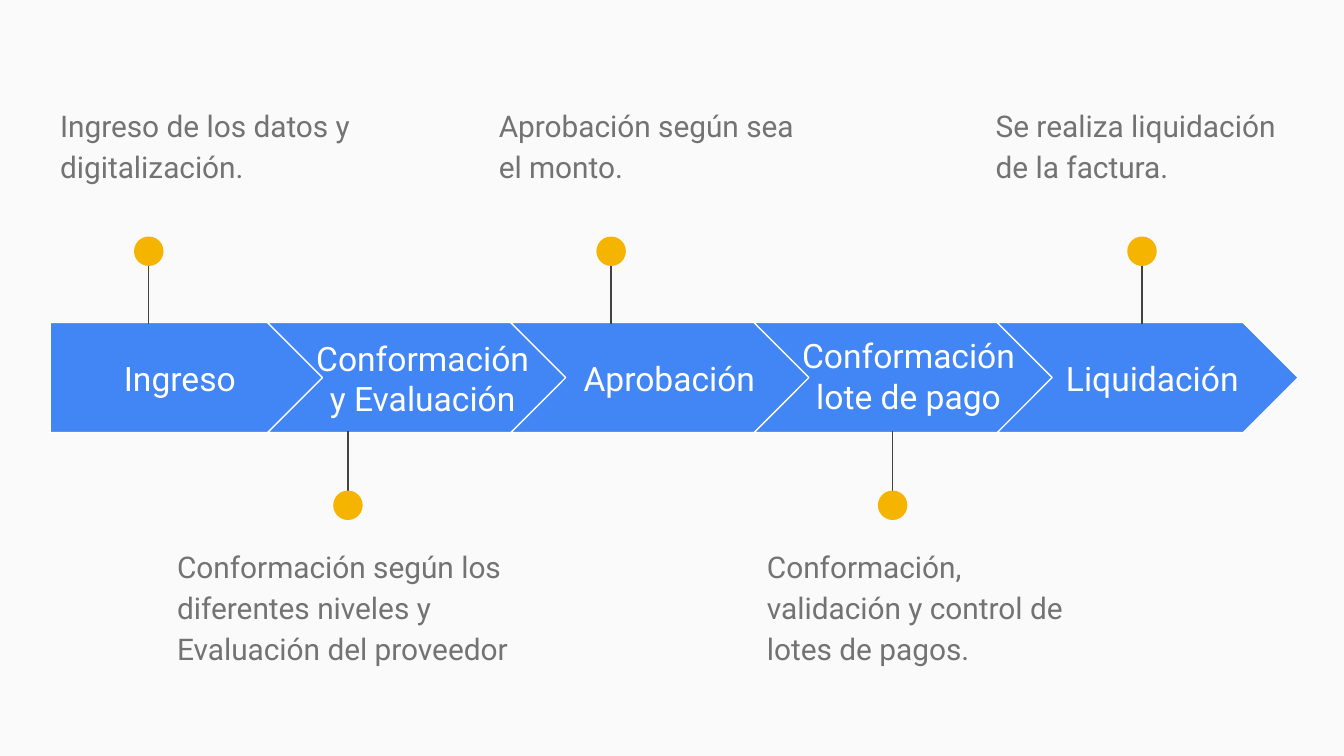
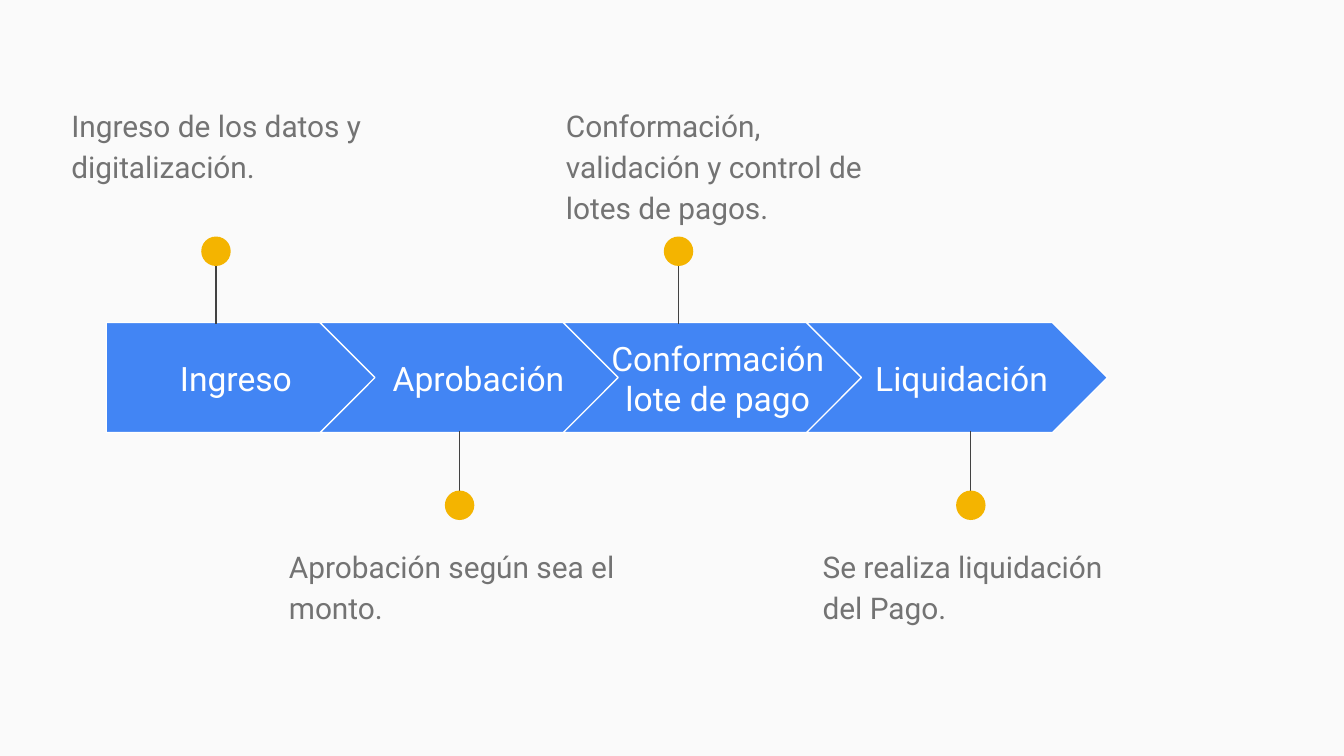
"""Builds two process timelines with arrow steps, pins and notes."""

from dataclasses import dataclass

from lxml.etree import SubElement
from pptx import Presentation
from pptx.dml.color import RGBColor
from pptx.enum.shapes import MSO_CONNECTOR, MSO_SHAPE
from pptx.enum.text import MSO_ANCHOR, PP_ALIGN
from pptx.oxml.ns import qn
from pptx.presentation import Presentation as Deck
from pptx.shapes.autoshape import Shape
from pptx.slide import Slide
from pptx.util import Pt

PAPER = RGBColor(0xFA, 0xFA, 0xFA)
BLUE = RGBColor(0x42, 0x85, 0xF4)
AMBER = RGBColor(0xF4, 0xB4, 0x00)
WHITE = RGBColor(0xFF, 0xFF, 0xFF)
STEM = RGBColor(0x42, 0x42, 0x42)
GREY = RGBColor(0x73, 0x73, 0x73)

FONT = "Roboto"
INSET = 7.2
LINE_WIDTH = 0.75
BAND_TOP, BAND_HEIGHT = 172.8, 59
FIRST_WIDTH, CHEVRON_WIDTH, CHEVRON_PITCH = 147.6, 161.3, 130.3
LABEL_TOP, LABEL_HEIGHT = 184.3, 36.7
DOT_SIZE = 15.8
NOTE_WIDTH, WIDE_NOTE_WIDTH, NOTE_HEIGHT = 176.4, 200.2, 71.3


@dataclass(frozen=True)
class Side:
    """Vertical places of a pin and its note on one side of the band."""

    stem_start: float
    stem_end: float
    dot_top: float
    note_top: float


@dataclass(frozen=True)
class Label:
    """Name of a step, with its offset from the left of the arrow."""

    text: str
    offset: float
    width: float


@dataclass(frozen=True)
class Step:
    """One arrow with its pin and note."""

    label: Label
    pin: float
    note: str
    note_left: float
    note_width: float = NOTE_WIDTH
    label_top: float = LABEL_TOP


@dataclass(frozen=True)
class Timeline:
    """One band of steps, whose pins alternate above and below."""

    first_left: float
    chevron_left: float
    steps: tuple[Step, ...]


ABOVE = Side(129.6, 173.5, 126.7, 47.5)
BELOW = Side(275, 231.1, 262.8, 283.7)

ENTRY = Label("Ingreso", 12.2, 114.5)
EVALUATION = Label("Conformación y Evaluación", 18.7, 128.9)
APPROVAL = Label("Aprobación", 31, 108)
BATCH = Label("Conformación lote de pago", 18.4, 128.9)
SETTLEMENT = Label("Liquidación", 25.9, 114.5)

ENTRY_NOTE = "Ingreso de los datos y digitalización."
APPROVAL_NOTE = "Aprobación según sea el monto."
BATCH_NOTE = "Conformación, validación y control de lotes de pagos."

TIMELINES = (
    Timeline(26.9, 143.3, (
        Step(ENTRY, 79.7, ENTRY_NOTE, 25.1),
        Step(EVALUATION, 186.4,
             "Conformación según los diferentes niveles y Evaluación del proveedor",
             87.8, WIDE_NOTE_WIDTH),
        Step(APPROVAL, 327.4, APPROVAL_NOTE, 260.1),
        Step(BATCH, 478.2, BATCH_NOTE, 403.8, label_top=182.9),
        Step(SETTLEMENT, 611.8, "Se realiza liquidación de la factura.", 526.3),
    )),
    Timeline(56.9, 171.4, (
        Step(ENTRY, 115.7, ENTRY_NOTE, 31.1),
        Step(APPROVAL, 246.2, APPROVAL_NOTE, 147.7, WIDE_NOTE_WIDTH),
        Step(BATCH, 363.5, BATCH_NOTE, 296.1),
        Step(SETTLEMENT, 520.1, "Se realiza liquidación del Pago.", 433.6),
    )),
)


def add_text(
    page: Slide,
    text: str,
    *,
    left: float,
    top: float,
    width: float,
    height: float,
    size: float,
    color: RGBColor,
    align: PP_ALIGN = PP_ALIGN.LEFT,
    anchor: MSO_ANCHOR = MSO_ANCHOR.TOP,
    line_spacing: float = 1.0,
    space_after: float = 0,
) -> None:
    """Add a wrapped text box with one formatted paragraph."""
    box = page.shapes.add_textbox(Pt(left), Pt(top), Pt(width), Pt(height))
    frame = box.text_frame
    frame.word_wrap = True
    frame.vertical_anchor = anchor
    frame.margin_left = frame.margin_right = Pt(INSET)
    frame.margin_top = frame.margin_bottom = Pt(INSET)
    para = frame.paragraphs[0]
    para.alignment = align
    para.line_spacing = line_spacing
    para.space_after = Pt(space_after)
    span = para.add_run()
    span.text = text
    span.font.name = FONT
    span.font.size = Pt(size)
    span.font.color.rgb = color


def paint(shape: Shape, fill: RGBColor, line: RGBColor | None = None) -> None:
    """Give a shape a flat fill and an optional outline."""
    shape.shadow.inherit = False
    shape.fill.solid()
    shape.fill.fore_color.rgb = fill
    if line is None:
        shape.line.fill.background()
    else:
        shape.line.color.rgb = line
        shape.line.width = Pt(LINE_WIDTH)


def add_arrow(page: Slide, kind: MSO_SHAPE, left: float, width: float) -> None:
    """Add one arrow of the band."""
    arrow = page.shapes.add_shape(
        kind, Pt(left), Pt(BAND_TOP), Pt(width), Pt(BAND_HEIGHT)
    )
    arrow.adjustments[0] = 0.5
    paint(arrow, BLUE, WHITE)


def add_pin(page: Slide, center: float, side: Side) -> None:
    """Add a grouped stem and dot."""
    pin = page.shapes.add_group_shape()
    stem = pin.shapes.add_connector(
        MSO_CONNECTOR.STRAIGHT,
        Pt(center), Pt(side.stem_start), Pt(center), Pt(side.stem_end),
    )
    stem.line.color.rgb = STEM
    stem.line.width = Pt(LINE_WIDTH)
    SubElement(stem._element.spPr, qn("a:effectLst"))
    dot = pin.shapes.add_shape(
        MSO_SHAPE.OVAL,
        Pt(center - DOT_SIZE / 2), Pt(side.dot_top), Pt(DOT_SIZE), Pt(DOT_SIZE),
    )
    paint(dot, AMBER)


def add_step(page: Slide, step: Step, left: float, side: Side) -> None:
    """Add the label, pin and note of one step."""
    add_text(
        page, step.label.text,
        left=left + step.label.offset, top=step.label_top,
        width=step.label.width, height=LABEL_HEIGHT,
        size=18, color=WHITE, align=PP_ALIGN.CENTER, anchor=MSO_ANCHOR.MIDDLE,
    )
    add_pin(page, step.pin, side)
    add_text(
        page, step.note,
        left=step.note_left, top=side.note_top,
        width=step.note_width, height=NOTE_HEIGHT,
        size=16, color=GREY, line_spacing=1.15, space_after=16,
    )


def add_timeline(deck: Deck, timeline: Timeline) -> None:
    """Add a page that holds one timeline."""
    page = deck.slides.add_slide(deck.slide_layouts[6])
    page.background.fill.solid()
    page.background.fill.fore_color.rgb = PAPER
    for index, step in enumerate(timeline.steps):
        if index == 0:
            left = timeline.first_left
            add_arrow(page, MSO_SHAPE.PENTAGON, left, FIRST_WIDTH)
        else:
            left = timeline.chevron_left + (index - 1) * CHEVRON_PITCH
            add_arrow(page, MSO_SHAPE.CHEVRON, left, CHEVRON_WIDTH)
        add_step(page, step, left, BELOW if index % 2 else ABOVE)


def main() -> None:
    """Build and save the deck."""
    deck = Presentation()
    deck.slide_width, deck.slide_height = Pt(720), Pt(405)
    for timeline in TIMELINES:
        add_timeline(deck, timeline)
    deck.save("out.pptx")


if __name__ == "__main__":
    main()
